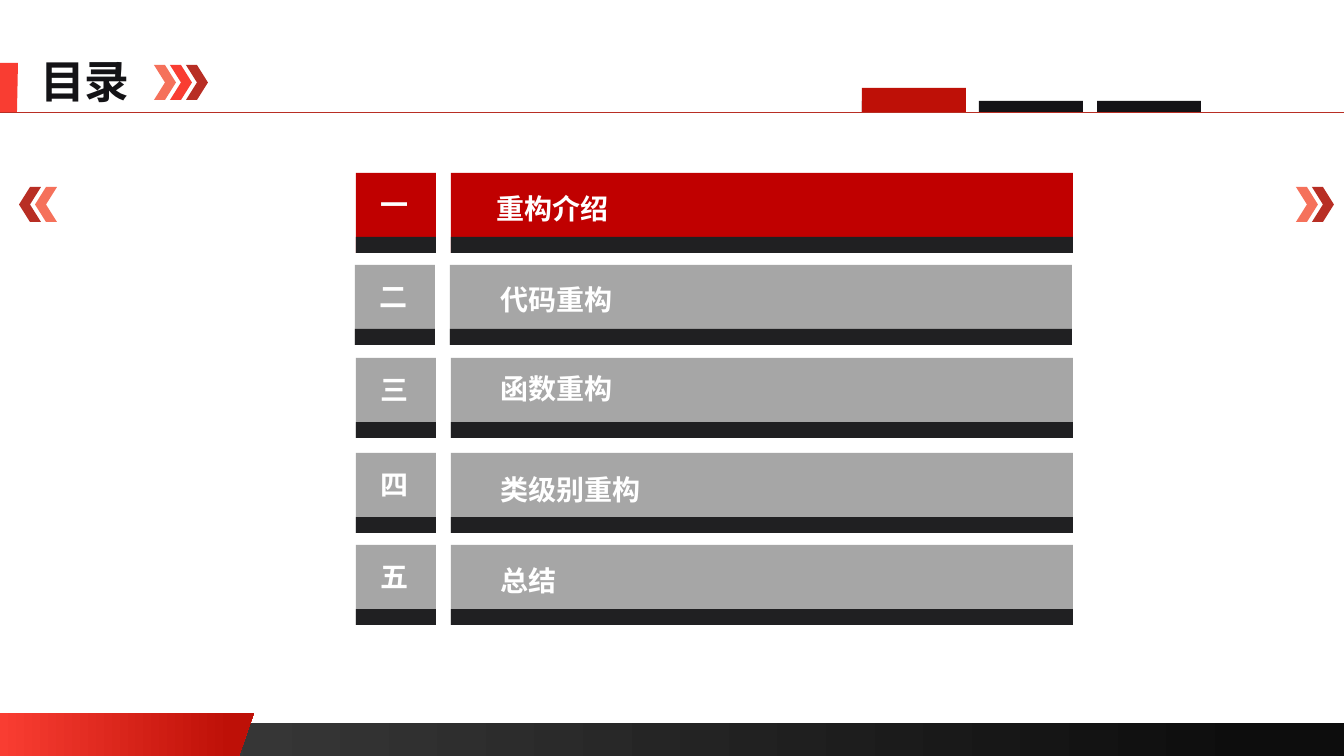
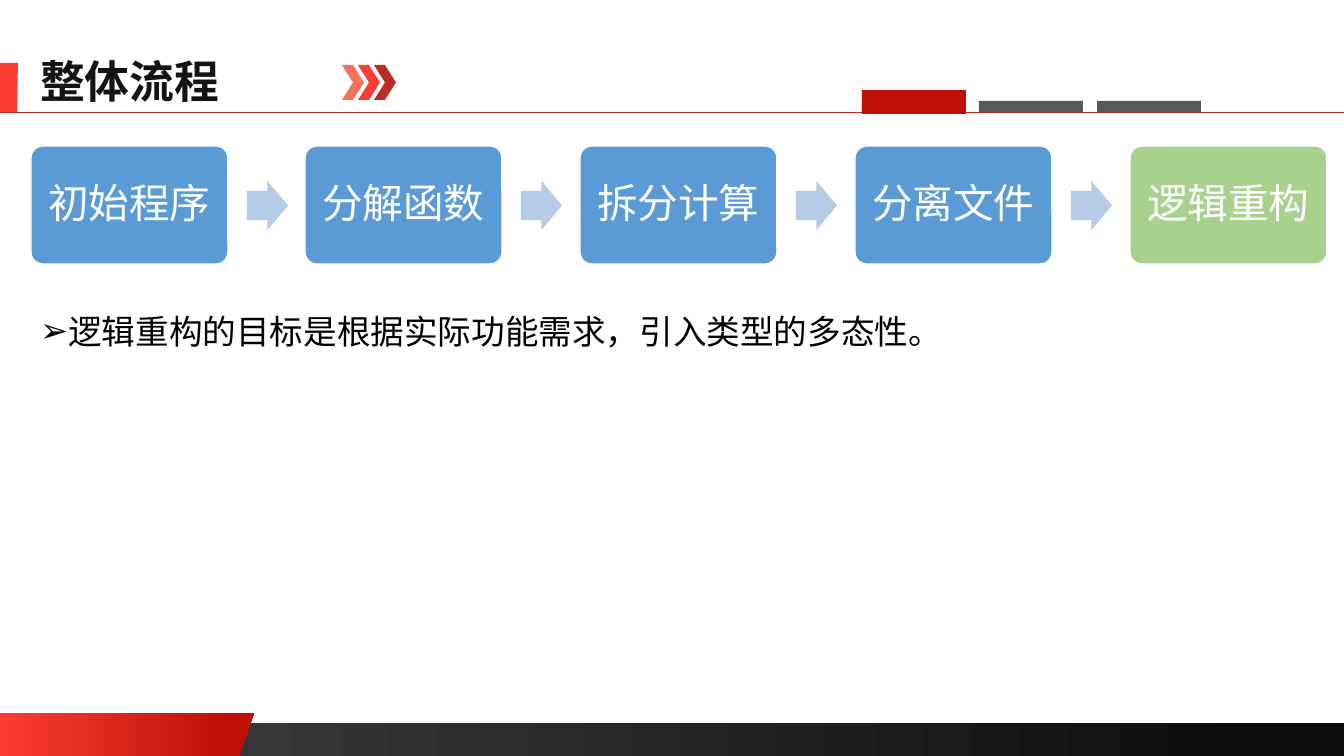
"""Build a table-of-contents slide and a process slide on refactoring."""
from dataclasses import dataclass

from lxml.etree import SubElement
from pptx import Presentation
from pptx.dml.color import RGBColor
from pptx.enum.lang import MSO_LANGUAGE_ID
from pptx.enum.shapes import MSO_CONNECTOR, MSO_SHAPE
from pptx.enum.text import MSO_ANCHOR, MSO_AUTO_SIZE, PP_ALIGN
from pptx.oxml.ns import qn
from pptx.shapes.autoshape import Shape
from pptx.slide import Slide
from pptx.text.text import TextFrame
from pptx.util import Emu, Pt

SLIDE_W, SLIDE_H = 1344, 756
EMU_PER_PX = 12192000 / SLIDE_W

WHITE = RGBColor(0xFF, 0xFF, 0xFF)
BLACK = RGBColor(0x00, 0x00, 0x00)
INK = RGBColor(0x14, 0x13, 0x16)
CHARCOAL = RGBColor(0x20, 0x20, 0x22)
SLATE = RGBColor(0x59, 0x59, 0x59)
GREY = RGBColor(0xA6, 0xA6, 0xA6)
FOOTER_START = RGBColor(0x40, 0x40, 0x40)
FOOTER_END = RGBColor(0x0D, 0x0D, 0x0D)
CORAL = RGBColor(0xF5, 0x71, 0x5B)
RED = RGBColor(0xF9, 0x3D, 0x32)
BRICK = RGBColor(0xB8, 0x2E, 0x24)
CRIMSON = RGBColor(0xBE, 0x10, 0x07)
ACTIVE = RGBColor(0xC0, 0x00, 0x00)
BLUE = RGBColor(0x5B, 0x9B, 0xD5)
PALE_BLUE = RGBColor(0xB5, 0xCB, 0xE7)
GREEN = RGBColor(0xA9, 0xD1, 0x8E)

CJK_FONT = "Noto Sans CJK SC"
LATIN_FONT = "Calibri"


@dataclass(frozen=True)
class Header:
    """Title area of one slide."""

    title: str
    title_width: int
    chevron_left: int
    tab_color: RGBColor
    active_tab_top: int


@dataclass(frozen=True)
class Chapter:
    """One row of the table of contents."""

    number: str
    label: str
    top: int
    label_top: int
    left: int = 356
    label_left: int = 490
    color: RGBColor = GREY


@dataclass(frozen=True)
class Step:
    """One box of the process."""

    label: str
    color: RGBColor = BLUE


CONTENTS_HEADER = Header("目录", 111, 154, INK, 88)
PROCESS_HEADER = Header("整体流程", 202, 342, SLATE, 90)

CHAPTERS = (
    Chapter("一", "重构介绍", 173, 187, label_left=486, color=ACTIVE),
    Chapter("二", "代码重构", 265, 278, left=355),
    Chapter("三", "函数重构", 358, 367),
    Chapter("四", "类级别重构", 453, 468),
    Chapter("五", "总结", 545, 559),
)

STEPS = (
    Step("初始程序"),
    Step("分解函数"),
    Step("拆分计算"),
    Step("分离文件"),
    Step("逻辑重构", GREEN),
)


def px(length: int) -> Emu:
    """Turn pixels into EMU."""
    return Emu(round(length * EMU_PER_PX))


def place(shape: Shape, left: int, top: int, width: int, height: int) -> None:
    """Move and size a shape."""
    shape.left, shape.top = px(left), px(top)
    shape.width, shape.height = px(width), px(height)


def add_run(frame: TextFrame, text: str, size: int, color: RGBColor,
            bold: bool = False, font_name: str = CJK_FONT) -> None:
    """Append a formatted run to the first paragraph."""
    run = frame.paragraphs[0].add_run()
    run.text = text
    font = run.font
    font.size, font.bold, font.name = Pt(size), bold, font_name
    font.color.rgb = color
    font.language_id = MSO_LANGUAGE_ID.SIMPLIFIED_CHINESE
    SubElement(run._r.get_or_add_rPr(), qn("a:ea"), typeface=CJK_FONT)


def add_block(slide: Slide, left: int, top: int, width: int, height: int,
              color: RGBColor, kind: MSO_SHAPE = MSO_SHAPE.RECTANGLE) -> Shape:
    """Add a flat preset shape without outline."""
    block = slide.shapes.add_shape(kind, px(left), px(top), px(width), px(height))
    block.shadow.inherit = False
    block.fill.solid()
    block.fill.fore_color.rgb = color
    block.line.fill.background()
    return block


def add_outline(slide: Slide, points: list[tuple[int, int]], color: RGBColor) -> Shape:
    """Add a flat closed polygon."""
    builder = slide.shapes.build_freeform(*points[0], scale=EMU_PER_PX)
    builder.add_line_segments(points[1:], close=True)
    polygon = builder.convert_to_shape()
    polygon.shadow.inherit = False
    polygon.fill.solid()
    polygon.fill.fore_color.rgb = color
    polygon.line.fill.background()
    return polygon


def fill_gradient(shape: Shape, start: RGBColor, end: RGBColor, end_at: float) -> None:
    """Fill a shape with a left-to-right gradient."""
    shape.fill.gradient()
    shape.fill.gradient_angle = 0
    first, last = shape.fill.gradient_stops
    first.color.rgb, first.position = start, 0
    last.color.rgb, last.position = end, end_at


def add_chevrons(slide: Slide, left: int, top: int, colors: tuple[RGBColor, ...],
                 rotation: int = 0) -> None:
    """Add a row of overlapping chevrons."""
    for index, color in enumerate(colors):
        chevron = add_block(slide, left + 16 * index, top, 22, 35, color,
                            MSO_SHAPE.CHEVRON)
        chevron.rotation = rotation


def add_caption(slide: Slide, left: int, top: int, text: str) -> None:
    """Add a one-line white caption as wide as its text."""
    caption = slide.shapes.add_textbox(px(left), px(top), px(28 * len(text) + 21), px(44))
    frame = caption.text_frame
    frame.word_wrap = False
    frame.paragraphs[0].alignment = PP_ALIGN.CENTER
    add_run(frame, text, 20, WHITE, bold=True)


def draw_frame(slide: Slide, header: Header) -> None:
    """Draw the footer, title, rule, chevrons and tabs shared by the slides."""
    footer = add_block(slide, 0, 723, SLIDE_W, 33, FOOTER_END)
    fill_gradient(footer, FOOTER_START, FOOTER_END, 0.94)
    footer_tab = add_outline(slide, [(0, 713), (254, 713), (239, 756), (0, 756)], RED)
    fill_gradient(footer_tab, RED, CRIMSON, 0.91)
    add_outline(slide, [(0, 63), (18, 63), (17, 113), (0, 113)], RED)

    title = slide.shapes.title
    place(title, 30, 49, header.title_width, 65)
    frame = title.text_frame
    frame.word_wrap = False
    frame.auto_size = MSO_AUTO_SIZE.NONE
    frame.vertical_anchor = MSO_ANCHOR.TOP
    frame.paragraphs[0].alignment = PP_ALIGN.LEFT
    add_run(frame, header.title, 32, INK, bold=True)

    rule = slide.shapes.add_connector(MSO_CONNECTOR.STRAIGHT, px(0), px(112),
                                      px(SLIDE_W), px(112))
    rule.line.color.rgb = BRICK
    rule.line.width = Pt(0.5)
    SubElement(rule.element.spPr, qn("a:effectLst"))

    add_chevrons(slide, header.chevron_left, 65, (CORAL, RED, BRICK))
    for index in range(3):
        add_block(slide, 862 + index * 235 // 2, 101, 104, 11, header.tab_color)
    add_block(slide, 862, header.active_tab_top, 104, 24, CRIMSON)


def draw_chapter(slide: Slide, chapter: Chapter) -> None:
    """Draw a number tile and a label bar, each with a dark base."""
    for left, width in ((chapter.left, 80), (chapter.left + 95, 622)):
        add_block(slide, left, chapter.top, width, 80, chapter.color)
        add_block(slide, left, chapter.top + 64, width, 16, CHARCOAL)
    add_caption(slide, chapter.left + 14, chapter.top + 10, chapter.number)
    add_caption(slide, chapter.label_left, chapter.label_top, chapter.label)


def draw_step(slide: Slide, left: int, step: Step) -> None:
    """Draw one process box with its label."""
    box = add_block(slide, left, 146, 197, 118, step.color, MSO_SHAPE.ROUNDED_RECTANGLE)
    box.adjustments[0] = 0.1
    box.line.color.rgb = WHITE
    box.line.width = Pt(1)
    frame = box.text_frame
    frame.word_wrap = True
    frame.vertical_anchor = MSO_ANCHOR.MIDDLE
    frame.margin_left = frame.margin_right = px(12)
    frame.margin_top = frame.margin_bottom = px(12)
    paragraph = frame.paragraphs[0]
    paragraph.alignment = PP_ALIGN.CENTER
    paragraph.line_spacing = 0.9
    add_run(frame, step.label, 29, WHITE, font_name=LATIN_FONT)


def fill_goal(slide: Slide, text: str) -> None:
    """Write the bulleted goal into the body placeholder."""
    body = slide.placeholders[1]
    place(body, 30, 296, 1279, 56)
    frame = body.text_frame
    frame.word_wrap = True
    frame.auto_size = MSO_AUTO_SIZE.NONE
    paragraph = frame.paragraphs[0]
    paragraph.line_spacing = 1.25
    paragraph.space_before, paragraph.space_after = Pt(0), Pt(6)
    properties = paragraph._p.get_or_add_pPr()
    properties.set("marL", str(px(25)))
    properties.set("indent", str(px(-38)))
    SubElement(properties, qn("a:buChar"), char="➢")
    add_run(frame, text, 24, BLACK)


def draw_contents(slide: Slide) -> None:
    """Draw the table of contents."""
    draw_frame(slide, CONTENTS_HEADER)
    add_chevrons(slide, 1296, 187, (CORAL, BRICK))
    add_chevrons(slide, 19, 187, (BRICK, CORAL), rotation=180)
    for chapter in CHAPTERS:
        draw_chapter(slide, chapter)


def draw_process(slide: Slide) -> None:
    """Draw the process and its goal."""
    draw_frame(slide, PROCESS_HEADER)
    for index, step in enumerate(STEPS):
        left = 31 + index * 1099 // 4
        draw_step(slide, left, step)
        if index < len(STEPS) - 1:
            arrow = add_block(slide, left + 216, 181, 41, 49, PALE_BLUE,
                              MSO_SHAPE.RIGHT_ARROW)
            arrow.adjustments[0] = 0.6
            arrow.adjustments[1] = 0.5
    fill_goal(slide, "逻辑重构的目标是根据实际功能需求，引入类型的多态性。")


def main() -> None:
    """Build and save the presentation."""
    presentation = Presentation()
    presentation.slide_width, presentation.slide_height = px(SLIDE_W), px(SLIDE_H)
    layouts = presentation.slide_layouts
    draw_contents(presentation.slides.add_slide(layouts.get_by_name("Title Only")))
    draw_process(presentation.slides.add_slide(layouts.get_by_name("Title and Content")))
    presentation.save("out.pptx")


if __name__ == "__main__":
    main()
